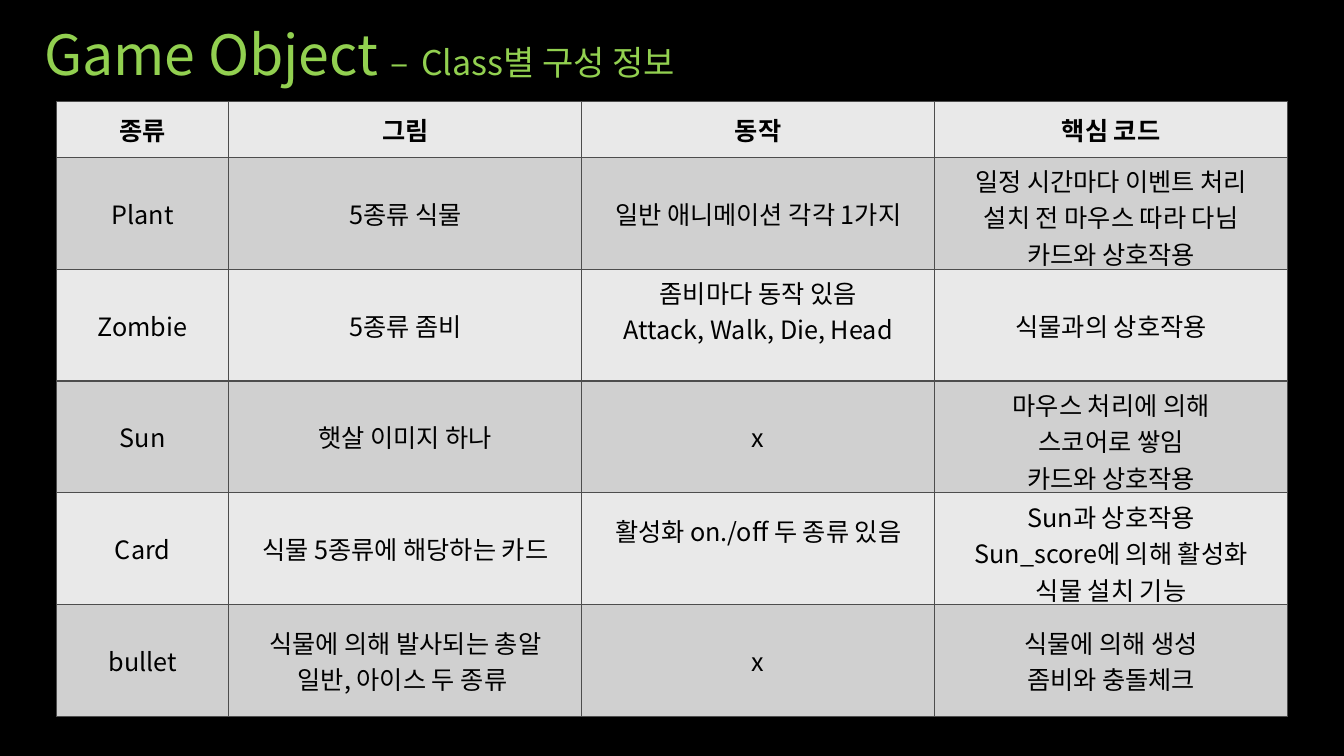
"""Build a slide with a table of game object classes."""
from lxml import etree
from pptx import Presentation
from pptx.dml.color import RGBColor
from pptx.enum.text import MSO_ANCHOR, PP_ALIGN
from pptx.oxml.ns import qn
from pptx.util import Inches, Pt

MIDDLE = MSO_ANCHOR.MIDDLE
LEFT, CENTER = PP_ALIGN.LEFT, PP_ALIGN.CENTER
BLACK = RGBColor(0x00, 0x00, 0x00)
GREEN = RGBColor(0x92, 0xD0, 0x50)
LIGHT = RGBColor(0xE9, 0xE9, 0xE9)
DARK = RGBColor(0xD0, 0xD0, 0xD0)
BORDER = "4D4D4D"
FONT = "Noto Sans CJK KR"
BODY_SIZE = 18
TITLE_SIZE, SUBTITLE_SIZE = 39.6, 24.3
COLUMN_WIDTHS = [1.71, 3.5, 3.5, 3.5]
HEADER_HEIGHT, ROW_HEIGHT = 0.55, 1.11
LINE_HEIGHT = 0.36

ROWS = [
    ["종류", "그림", "동작", "핵심 코드"],
    ["Plant", "5종류 식물", "일반 애니메이션 각각 1가지",
     "일정 시간마다 이벤트 처리\n설치 전 마우스 따라 다님\n카드와 상호작용"],
    ["Zombie", "5종류 좀비", "좀비마다 동작 있음\nAttack, Walk, Die, Head",
     "식물과의 상호작용"],
    ["Sun", "햇살 이미지 하나", "x",
     "마우스 처리에 의해\n스코어로 쌓임\n카드와 상호작용"],
    ["Card", "식물 5종류에 해당하는 카드", "활성화 on./off 두 종류 있음",
     "Sun과 상호작용\nSun_score에 의해 활성화\n식물 설치 기능"],
    ["bullet", "식물에 의해 발사되는 총알\n일반, 아이스 두 종류 ", "x",
     "식물에 의해 생성\n좀비와 충돌체크"],
]
RAISED_CELLS = {("Zombie", 2), ("Card", 2)}


def add_text(paragraph, text, *, size=BODY_SIZE, color=BLACK, bold=False, align=CENTER):
    paragraph.alignment = align
    run = paragraph.add_run()
    run.text = text
    run.font.size = Pt(size)
    run.font.bold = bold
    run.font.color.rgb = color
    run.font.name = FONT
    east_asian = etree.SubElement(run.font._element, qn("a:ea"))
    east_asian.set("typeface", FONT)


def add_borders(cell):
    properties = cell._tc.get_or_add_tcPr()
    for side in ("lnL", "lnR", "lnT", "lnB"):
        line = etree.SubElement(properties, qn(f"a:{side}"), w=str(Pt(1)))
        fill = etree.SubElement(line, qn("a:solidFill"))
        etree.SubElement(fill, qn("a:srgbClr"), val=BORDER)


presentation = Presentation()
presentation.slide_width = Inches(13.33)
presentation.slide_height = Inches(7.5)
slide = presentation.slides.add_slide(presentation.slide_layouts[6])
slide.background.fill.solid()
slide.background.fill.fore_color.rgb = BLACK

title = slide.shapes.add_textbox(Inches(0.34), Inches(0.4), Inches(10.7), Inches(0.35))
title.text_frame.word_wrap = True
title.text_frame.vertical_anchor = MIDDLE
title_paragraph = title.text_frame.paragraphs[0]
title_paragraph.line_spacing = 0.9
for text, size in [("Game Object ", TITLE_SIZE), ("–", SUBTITLE_SIZE),
                   (" ", TITLE_SIZE), ("Class별 구성 정보", SUBTITLE_SIZE)]:
    add_text(title_paragraph, text, size=size, color=GREEN, align=LEFT)

row_heights = [HEADER_HEIGHT] + [ROW_HEIGHT] * (len(ROWS) - 1)
table = slide.shapes.add_table(
    len(ROWS), len(COLUMN_WIDTHS), Inches(0.56), Inches(1.01),
    Inches(sum(COLUMN_WIDTHS)), Inches(sum(row_heights))).table
table.first_row = table.horz_banding = False
for column, width in zip(table.columns, COLUMN_WIDTHS):
    column.width = Inches(width)

for row_index, texts in enumerate(ROWS):
    table.rows[row_index].height = Inches(row_heights[row_index])
    for column_index, text in enumerate(texts):
        cell = table.cell(row_index, column_index)
        add_borders(cell)
        cell.fill.solid()
        cell.fill.fore_color.rgb = DARK if row_index % 2 else LIGHT
        cell.vertical_anchor = MIDDLE
        if (texts[0], column_index) in RAISED_CELLS:
            cell.margin_bottom = Inches(0.05 + LINE_HEIGHT)
        frame = cell.text_frame
        for line_index, line_text in enumerate(text.split("\n")):
            paragraph = frame.add_paragraph() if line_index else frame.paragraphs[0]
            add_text(paragraph, line_text, bold=row_index == 0)

presentation.save("out.pptx")
